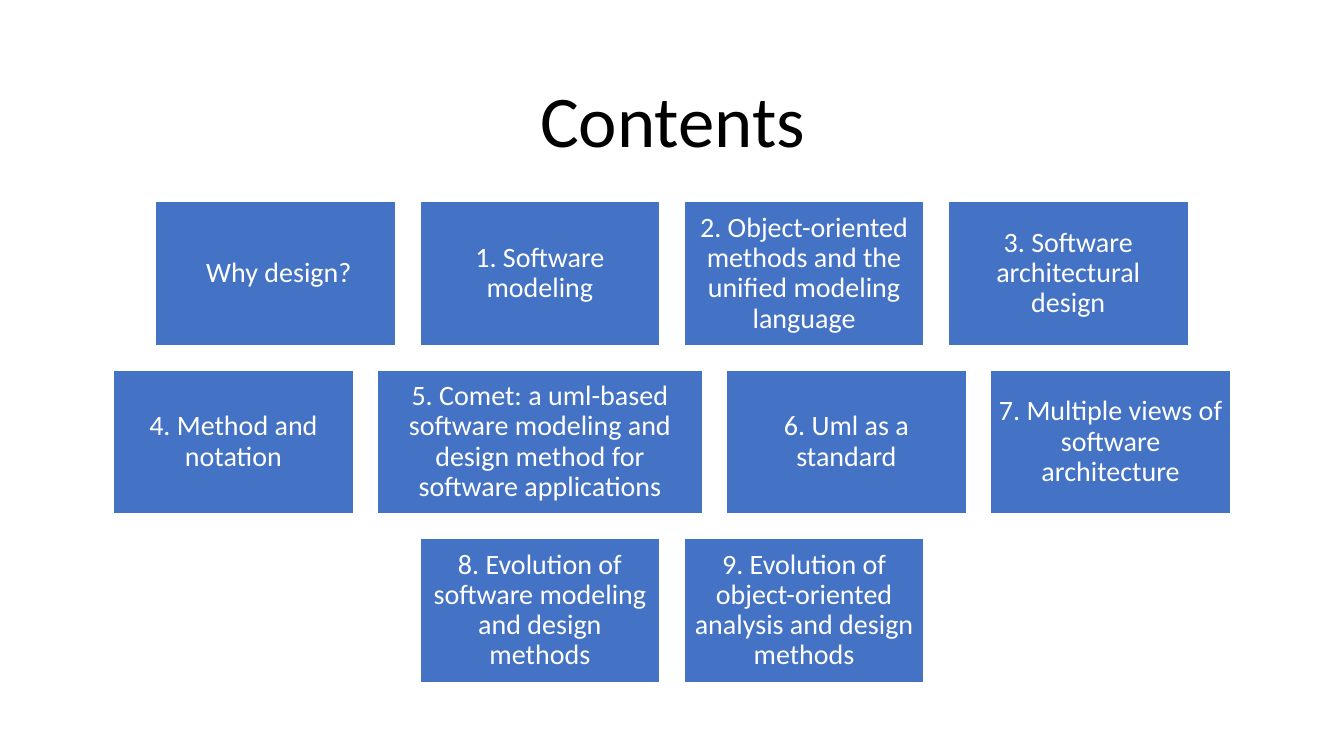
from dataclasses import dataclass

from pptx import Presentation
from pptx.dml.color import RGBColor
from pptx.enum import shapes, text
from pptx.util import Inches, Pt

COLORS = {"tile": "4472C4", "white": "FFFFFF", "title": "000000"}
FONT = "Calibri"
SLIDE_WIDTH, SLIDE_HEIGHT = 13.33, 7.5
TILE_HEIGHT, GAP, FIRST_ROW_TOP = 1.43, 0.24, 2.0
INSET = 0.08


@dataclass
class Tile:
    label: str
    width: float = 2.38


ROWS = [
    [
        Tile(" Why design?"),
        Tile("1. Software modeling"),
        Tile("2. Object-oriented methods and the unified modeling language"),
        Tile("3. Software architectural design"),
    ],
    [
        Tile("4. Method and notation"),
        Tile("5. Comet: a uml-based software modeling and design method "
             "for software applications", width=3.22),
        Tile("6. Uml as a standard"),
        Tile("7. Multiple views of software architecture"),
    ],
    [
        Tile("8. Evolution of software modeling and design methods"),
        Tile("9. Evolution of object-oriented analysis and design methods"),
    ],
]


def write_text(shape, content: str, size: float, color: str) -> None:
    """Fill a shape with one centred paragraph."""
    frame = shape.text_frame
    frame.word_wrap = True
    frame.vertical_anchor = text.MSO_ANCHOR.MIDDLE
    paragraph = frame.paragraphs[0]
    paragraph.text = content
    paragraph.alignment = text.PP_ALIGN.CENTER
    paragraph.line_spacing = 0.9
    paragraph.font.name = FONT
    paragraph.font.size = Pt(size)
    paragraph.font.color.rgb = RGBColor.from_string(COLORS[color])


def draw_tile(slide, tile: Tile, left: float, top: float) -> None:
    shape = slide.shapes.add_shape(
        shapes.MSO_SHAPE.RECTANGLE,
        Inches(left), Inches(top), Inches(tile.width), Inches(TILE_HEIGHT))
    shape.shadow.inherit = False
    shape.fill.solid()
    shape.fill.fore_color.rgb = RGBColor.from_string(COLORS["tile"])
    shape.line.color.rgb = RGBColor.from_string(COLORS["white"])
    shape.line.width = Pt(1)
    frame = shape.text_frame
    frame.margin_left = frame.margin_right = Inches(INSET)
    frame.margin_top = frame.margin_bottom = Inches(INSET)
    write_text(shape, tile.label, 20, "white")


def draw_row(slide, tiles: list[Tile], top: float) -> None:
    """Centre a row of tiles across the slide."""
    row_width = sum(tile.width for tile in tiles) + GAP * (len(tiles) - 1)
    left = (SLIDE_WIDTH - row_width) / 2
    for tile in tiles:
        draw_tile(slide, tile, left, top)
        left += tile.width + GAP


def main() -> None:
    presentation = Presentation()
    presentation.slide_width = Inches(SLIDE_WIDTH)
    presentation.slide_height = Inches(SLIDE_HEIGHT)
    slide = presentation.slides.add_slide(presentation.slide_layouts[6])

    # Title
    title = slide.shapes.add_textbox(
        Inches(0.92), Inches(0.61), Inches(11.5), Inches(1.24))
    write_text(title, "Contents", 52, "title")

    # Rows of topics
    for index, tiles in enumerate(ROWS):
        draw_row(slide, tiles, FIRST_ROW_TOP + index * (TILE_HEIGHT + GAP))

    presentation.save("out.pptx")


if __name__ == "__main__":
    main()
